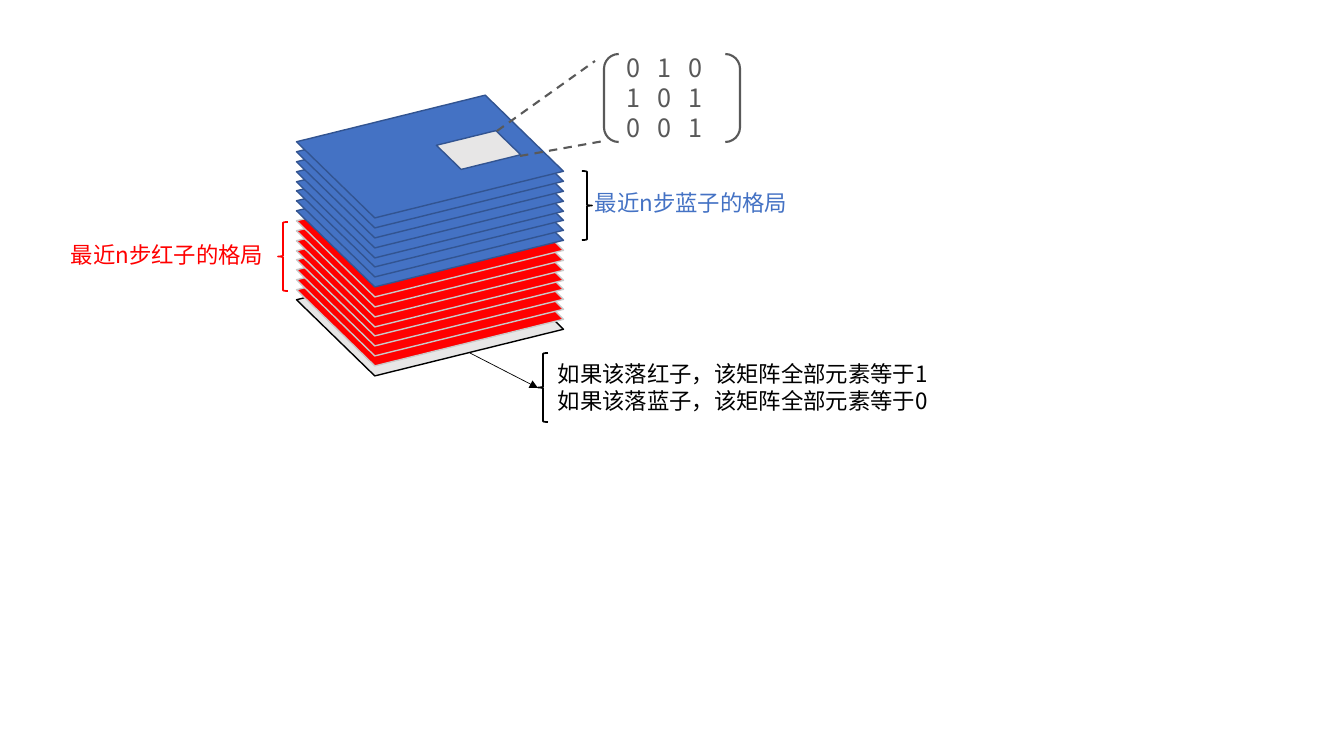
"""Draw the stacked input planes of a board-game network with their labels."""
from typing import NamedTuple

from lxml import etree
from pptx import Presentation
from pptx import util as u
from pptx.dml.color import RGBColor
from pptx.enum import dml, shapes, text
from pptx.oxml import ns

FONT = "Noto Sans CJK SC"
RED, BLUE, NAVY = "FF0000", "4472C4", "325491"
BLACK, GREY, PALE, SILVER = "000000", "595959", "E7E6E6", "C9C9C9"
KIND = shapes.MSO_SHAPE
TILT, SKEW = 224.2, 0.623
BASE, RISE, LAST = 232, 158, 16


class Form(NamedTuple):
    kind: KIND
    left: int
    top: int
    wide: int
    high: int
    line: str
    width: float
    fill: str = ""
    turn: float = 0
    skew: float = 0


class Label(NamedTuple):
    left: int
    top: int
    wide: int
    high: int
    size: int
    hue: str
    rows: tuple[str, ...]
    tabs: tuple[int, ...] = ()


class Link(NamedTuple):
    start: tuple[int, int]
    end: tuple[int, int]
    hue: str
    width: float
    dash: bool = False
    arrow: bool = False


def px(n: int) -> u.Emu:
    """Turn px into EMU."""
    return u.Emu(round(n * 914400 / 100.8))


def rgb(code: str) -> RGBColor:
    """Turn a hex string into a colour."""
    return RGBColor.from_string(code)


def add_sub(node, tag: str, **attrs: str):
    """Append a DrawingML child element."""
    return etree.SubElement(node, ns.qn(tag), **attrs)


def draw_form(slide, f: Form) -> None:
    """Draw one preset shape."""
    shape = slide.shapes.add_shape(f.kind, px(f.left), px(f.top), px(f.wide), px(f.high))
    shape.shadow.inherit = False
    shape.rotation = f.turn
    if f.skew:
        shape.adjustments[0] = f.skew
    if f.fill:
        shape.fill.solid()
        shape.fill.fore_color.rgb = rgb(f.fill)
    else:
        shape.fill.background()
    shape.line.color.rgb = rgb(f.line)
    shape.line.width = u.Pt(f.width)


def draw_label(slide, b: Label) -> None:
    """Draw one text box, a paragraph per row."""
    box = slide.shapes.add_textbox(px(b.left), px(b.top), px(b.wide), px(b.high))
    frame = box.text_frame
    frame.word_wrap = True
    frame.auto_size = text.MSO_AUTO_SIZE.SHAPE_TO_FIT_TEXT
    for i, row in enumerate(b.rows):
        para = frame.paragraphs[0] if i == 0 else frame.add_paragraph()
        para.line_spacing = u.Pt(1.2 * b.size)
        if b.tabs:
            stops = add_sub(para._p.get_or_add_pPr(), "a:tabLst")
            for tab in b.tabs:
                add_sub(stops, "a:tab", pos=str(px(tab)), algn="l")
        run = para.add_run()
        run.text = row
        run.font.size = u.Pt(b.size)
        run.font.color.rgb = rgb(b.hue)
        run.font.name = FONT
        add_sub(run._r.get_or_add_rPr(), "a:ea", typeface=FONT)


def draw_link(slide, k: Link) -> None:
    """Draw one straight line or arrow."""
    ends = [px(n) for n in k.start + k.end]
    link = slide.shapes.add_connector(shapes.MSO_CONNECTOR.STRAIGHT, *ends)
    link.line.color.rgb = rgb(k.hue)
    link.line.width = u.Pt(k.width)
    if k.dash:
        link.line.dash_style = dml.MSO_LINE.DASH
    if k.arrow:
        add_sub(link.line._get_or_add_ln(), "a:tailEnd", type="triangle")
    add_sub(link._element.spPr, "a:effectLst")


def make_plane(level: int) -> Form:
    """Describe the plane at a level of the stack, counted from below."""
    if level == 0:
        fill, line = PALE, BLACK
    elif level <= LAST // 2:
        fill, line = RED, SILVER
    else:
        fill, line = BLUE, NAVY
    top = BASE - round(level * RISE / LAST)
    return Form(KIND.PARALLELOGRAM, 324, top, 212, 165, line, 1, fill, TILT, SKEW)


def make_brace(left: int, top: int, hue: str, turn: float = 0) -> Form:
    """Describe a brace beside a label."""
    return Form(KIND.LEFT_BRACE, left, top, 10, 69, hue, 1.25, turn=turn)


FORMS = [
    *map(make_plane, range(LAST + 1)),
    make_brace(278, 222, RED),
    make_brace(582, 171, BLACK, 180),
    make_brace(538, 353, BLACK),
    Form(KIND.PARALLELOGRAM, 445, 124, 67, 52, NAVY, 1, PALE, TILT, SKEW),
    Form(KIND.DOUBLE_BRACKET, 604, 54, 136, 88, GREY, 1.5),
]
LINKS = [
    Link((470, 353), (538, 388), BLACK, 0.5, arrow=True),
    Link((520, 156), (604, 141), GREY, 1.5, dash=True),
    Link((497, 131), (595, 61), GREY, 1.5, dash=True),
]
LABELS = [
    Label(61, 236, 222, 37, 16, RED, ("最近n步红子的格局",)),
    Label(585, 184, 222, 37, 16, BLUE, ("最近n步蓝子的格局",)),
    Label(548, 355, 408, 65, 16, BLACK,
          ("如果该落红子，该矩阵全部元素等于1", "如果该落蓝子，该矩阵全部元素等于0")),
    Label(617, 47, 124, 102, 18, GREY, ("0\t1\t0", "1\t0\t1", "0\t0\t1"), (31, 62)),
]


def main() -> None:
    """Build the slide and save it."""
    deck = Presentation()
    deck.slide_width, deck.slide_height = px(1344), px(756)
    slide = deck.slides.add_slide(deck.slide_layouts[6])
    for form in FORMS:
        draw_form(slide, form)
    for link in LINKS:
        draw_link(slide, link)
    for label in LABELS:
        draw_label(slide, label)
    deck.save("out.pptx")


if __name__ == "__main__":
    main()
